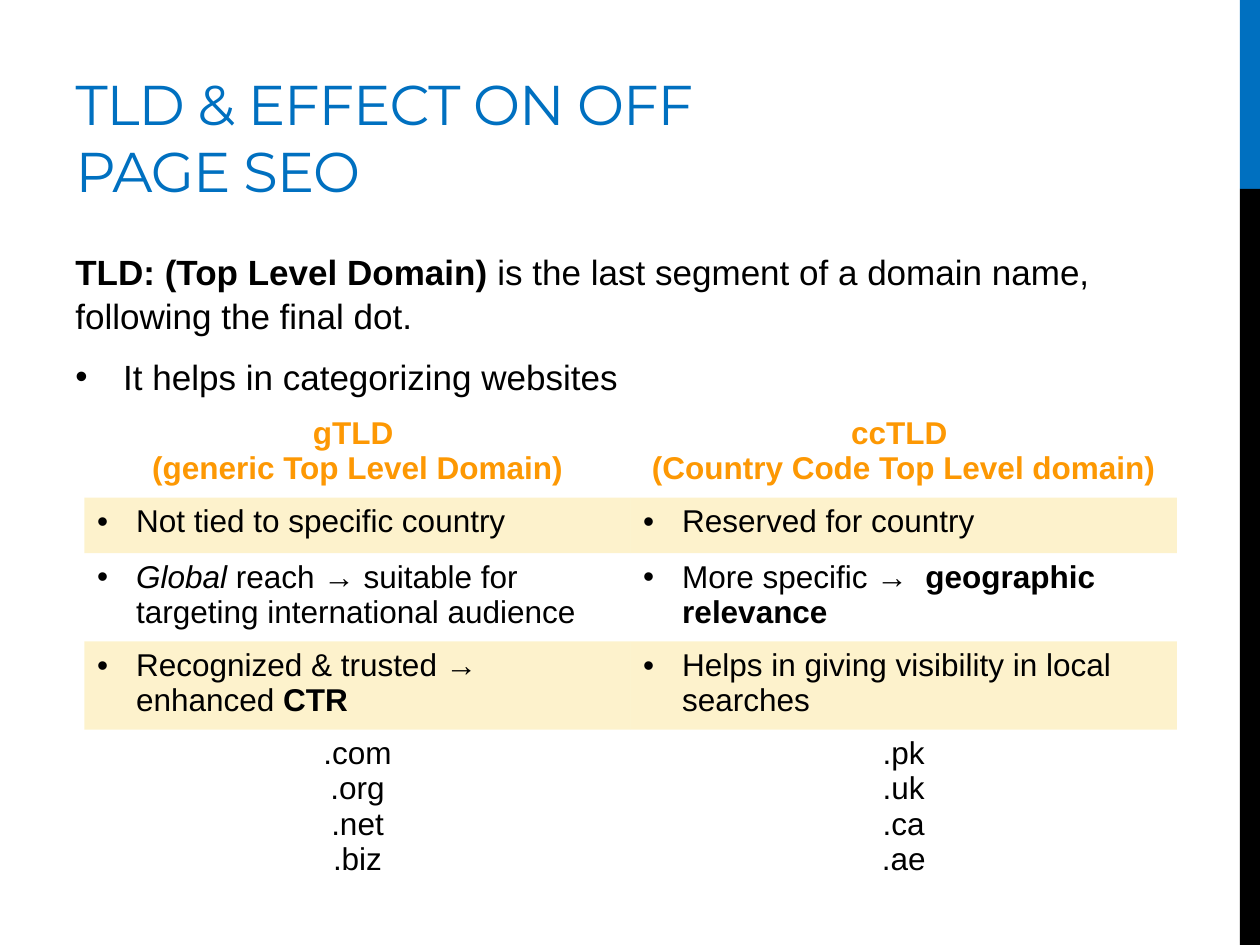
from lxml.etree import SubElement
from pptx import Presentation
from pptx.dml.color import RGBColor
from pptx.enum.shapes import MSO_SHAPE
from pptx.enum.text import MSO_ANCHOR, PP_ALIGN
from pptx.oxml.ns import qn
from pptx.util import Inches, Pt

# Content: a paragraph is a list of (text, style) runs
TITLE = "TLD & EFFECT ON OFF PAGE SEO"
INTRO = [
    ("TLD: (Top Level Domain) ", "bold"),
    ("is the last segment of a domain name, following the final dot.", ""),
]
POINT = [("It helps in categorizing websites", "")]
HEADS = [
    ["gTLD ", "(generic Top Level Domain)"],
    ["ccTLD ", "(Country Code Top Level domain)"],
]
FACTS = [
    ([("Not tied to specific country", "")],
     [("Reserved for country", "")]),
    ([("Global ", "italic"),
      ("reach → suitable for targeting international audience", "")],
     [("More specific → ", ""), (" geographic relevance", "bold")]),
    ([("Recognized & trusted → enhanced ", ""), ("CTR", "bold")],
     [("Helps in giving visibility in local searches", "")]),
]
ENDS = [[".com", ".org", ".net", ".biz"], [".pk", ".uk", ".ca", ".ae"]]

BLUE, BLACK, GOLD, BAND = "0070C0", "000000", "FD9803", "F5C201"
NO_STYLE = "{2D5ABB26-0587-4C30-8999-92F81FD0307C}"
BODY = {"size": Pt(20), "name": "Arial"}
CELL = {"size": Pt(18), "name": "Arial"}
HEAD = {**CELL, "bold": True}


def paint(part, color):
    part.rgb = RGBColor.from_string(color)


def write(para, runs, font, color=BLACK):
    for text, style in runs:
        run = para.add_run()
        run.text = text
        look = {**font, style: True} if style else font
        for key, value in look.items():
            setattr(run.font, key, value)
        paint(run.font.color, color)


def bullet(para, indent):
    props = para._p.get_or_add_pPr()
    props.set("marL", str(Inches(indent)))
    props.set("indent", str(-Inches(indent)))
    SubElement(props, qn("a:buFont"), typeface="Arial")
    SubElement(props, qn("a:buChar"), char="•")


def stack(cell, lines, font, color=BLACK):
    frame = cell.text_frame
    for i, line in enumerate(lines):
        para = frame.add_paragraph() if i else frame.paragraphs[0]
        para.alignment = PP_ALIGN.CENTER
        write(para, [(line, "")], font, color)


deck = Presentation()
deck.slide_width, deck.slide_height = Inches(10), Inches(7.5)
slide = deck.slides.add_slide(deck.slide_layouts[5])

# Side bars
for top, high, color in [(0, 1.5, BLUE), (1.5, 6, BLACK)]:
    bar = slide.shapes.add_shape(
        MSO_SHAPE.RECTANGLE, Inches(9.84), Inches(top), Inches(0.16), Inches(high))
    bar.shadow.inherit = False
    bar.fill.solid()
    paint(bar.fill.fore_color, color)
    bar.line.fill.background()

# Title
title = slide.shapes.title
title.left, title.top = Inches(0.5), Inches(0.17)
title.width, title.height = Inches(6.33), Inches(1.5)
frame = title.text_frame
frame.word_wrap = True
frame.vertical_anchor = MSO_ANCHOR.BOTTOM
para = frame.paragraphs[0]
para.alignment = PP_ALIGN.LEFT
write(para, [(TITLE, "")], {"size": Pt(32), "name": "Montserrat"}, BLUE)
para.runs[0].font._element.set("spc", "-60")

# Definition
box = slide.shapes.add_textbox(Inches(0.5), Inches(1.92), Inches(8.33), Inches(4.78))
frame = box.text_frame
frame.word_wrap = True
for i, runs in enumerate([INTRO, POINT]):
    para = frame.add_paragraph() if i else frame.paragraphs[0]
    para.space_before, para.space_after = Pt(4), Pt(6)
    para.line_spacing = 1.05
    write(para, runs, BODY)
bullet(para, 0.38)

# Comparison table
count = len(FACTS) + 2
grid = slide.shapes.add_table(
    count, 2, Inches(0.67), Inches(3.25), Inches(8.67), Inches(0.44 * count)).table
grid._tbl.tblPr.find(qn("a:tableStyleId")).text = NO_STYLE
for col in range(2):
    stack(grid.cell(0, col), HEADS[col], HEAD, GOLD)
    for row, fact in enumerate(FACTS, 1):
        para = grid.cell(row, col).text_frame.paragraphs[0]
        bullet(para, 0.31)
        write(para, fact[col], CELL)
    stack(grid.cell(count - 1, col), ENDS[col], CELL)
    for row in range(count):
        fill = grid.cell(row, col).fill
        if row % 2:
            fill.solid()
            paint(fill.fore_color, BAND)
            tint = grid.cell(row, col)._tc.tcPr.find(".//" + qn("a:srgbClr"))
            SubElement(tint, qn("a:alpha"), val="20000")
        else:
            fill.background()

deck.save("out.pptx")
